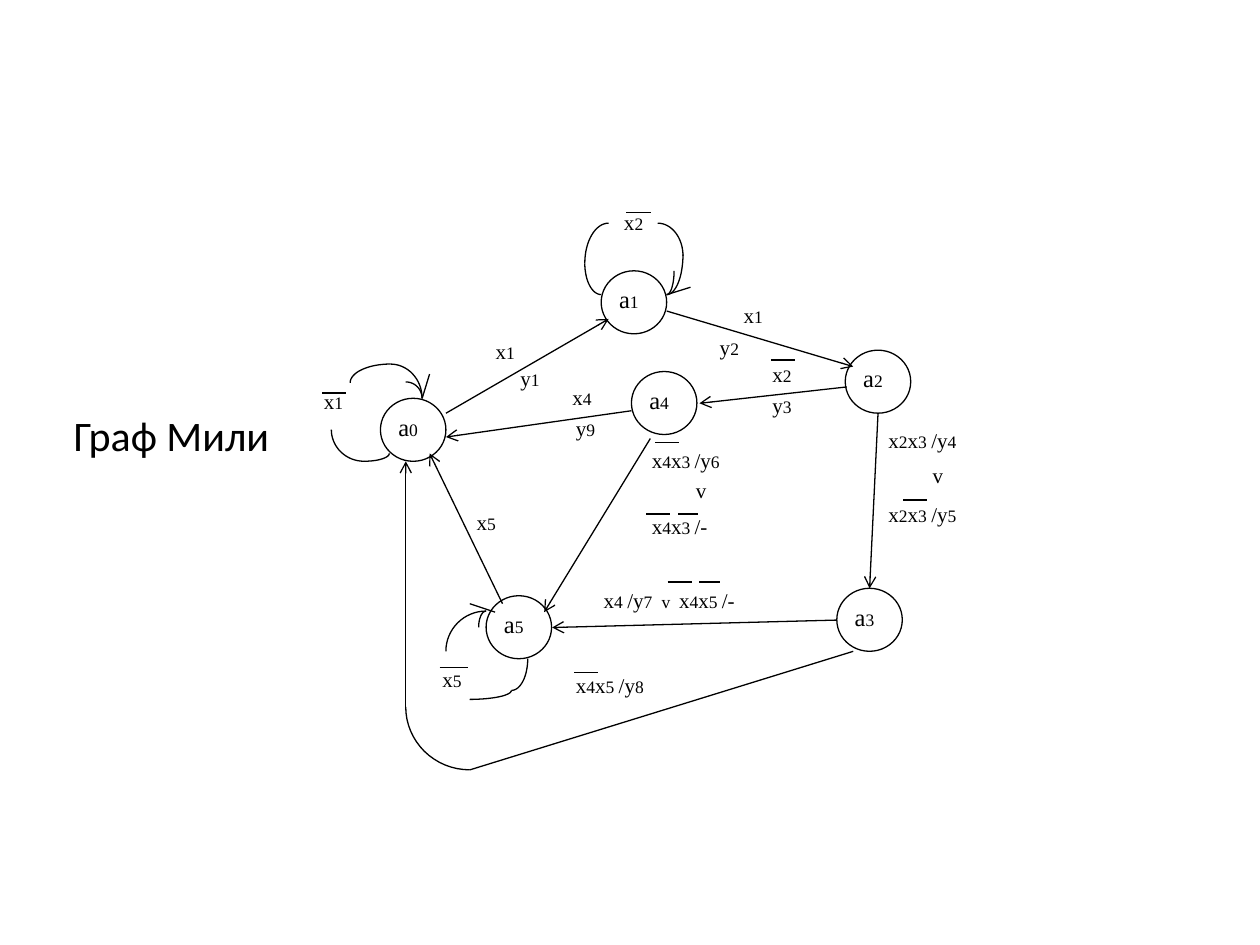
from dataclasses import dataclass
from itertools import groupby
from math import cos, pi, sin

from lxml.etree import SubElement
from pptx import Presentation
from pptx.dml.color import RGBColor
from pptx.enum.shapes import MSO_CONNECTOR, MSO_SHAPE
from pptx.enum.text import MSO_ANCHOR, PP_ALIGN
from pptx.oxml.ns import qn
from pptx.util import Cm, Pt


@dataclass(frozen=True)
class Theme:
    ink: RGBColor = RGBColor(0, 0, 0)
    title_font: str = "Calibri"
    label_font: str = "Times New Roman"
    title_size: Pt = Pt(24)
    state_size: Pt = Pt(14)
    label_size: Pt = Pt(12)
    index_size: Pt = Pt(10)
    line_width: Pt = Pt(0.75)


THEME = Theme()
STATE_WIDTH, STATE_HEIGHT = 1.32, 1.27
ARC_STEPS = 16

STATES = [
    ("a0", 7.67, 8.03),
    ("a1", 12.12, 5.46),
    ("a2", 17.04, 7.06),
    ("a3", 16.87, 11.86),
    ("a4", 12.73, 7.49),
    ("a5", 9.8, 12.01),
]

TRANSITIONS = [
    (12.73, 8.28, 8.99, 8.81),
    (17.07, 7.8, 14.1, 8.13),
    (17.7, 8.33, 17.53, 11.86),
    (8.18, 14.25, 8.18, 9.3),
    (13.11, 8.84, 10.97, 12.34),
    (16.87, 12.5, 11.13, 12.65),
    (10.13, 12.17, 8.66, 9.14),
    (8.99, 8.33, 12.27, 6.43),
    (13.44, 6.27, 17.2, 7.39),
]

PLAIN_LINES = [
    (17.2, 13.13, 9.47, 15.52),
    (13.44, 5.94, 13.92, 5.79),
    (9.98, 12.34, 9.47, 12.17),
    (8.51, 8.03, 8.66, 7.54),
]

QUARTER_ARCS = [
    (9.47, 15.52, 8.18, 14.25),
    (13.44, 5.94, 13.77, 5.13),
    (12.12, 5.94, 11.79, 5.31),
    (13.26, 4.5, 13.77, 5.16),
    (12.27, 4.5, 11.79, 5.31),
    (7.34, 9.3, 6.68, 8.66),
    (7.34, 9.3, 7.85, 9.14),
    (7.87, 7.34, 8.51, 8.03),
    (7.87, 7.34, 7.06, 7.72),
    (10.31, 13.92, 10.64, 13.28),
    (9.47, 14.1, 10.31, 13.92),
    (9.8, 12.32, 8.99, 13.13),
    (13.44, 5.94, 13.59, 5.46),
    (9.8, 12.32, 9.65, 12.65),
    (8.18, 7.7, 8.51, 8.03),
]

LABELS = [
    ("x1", 6.5, 7.72, 1.22, 0.86),
    ("x2", 12.55, 4.11, 1.14, 0.86),
    ("x5", 8.89, 13.34, 1.04, 1.17),
    ("x1", 9.96, 6.71, 1.14, 0.79),
    ("y1", 10.46, 7.26, 1.04, 1.02),
    ("x1", 14.96, 5.99, 1.3, 0.71),
    ("y2", 14.48, 6.63, 1.14, 0.94),
    ("x2", 15.54, 7.19, 0.89, 0.71),
    ("y3", 15.54, 7.8, 1.22, 1.02),
    ("x5", 9.58, 10.16, 1.14, 0.79),
    ("x4", 11.51, 7.65, 1.3, 0.79),
    ("y9", 11.58, 8.28, 1.3, 0.86),
    ("x2x3 /y4", 17.88, 8.51, 2.41, 0.79),
    ("v", 18.77, 9.22, 1.22, 0.86),
    ("x2x3 /y5", 17.88, 10.01, 2.26, 0.86),
    ("x4x5 /y8", 11.58, 13.46, 2.82, 0.94),
    ("x4x3 /y6", 13.11, 8.92, 2.74, 1.02),
    ("v", 14, 9.53, 1.37, 0.94),
    ("x4x3 /-", 13.11, 10.24, 3, 0.94),
]

OVERLINES = [
    (6.5, 7.92, 0.48),
    (12.62, 4.28, 0.5),
    (8.86, 13.46, 0.58),
    (15.54, 7.26, 0.48),
    (13.21, 8.92, 0.48),
    (13.03, 10.36, 0.48),
    (13.67, 10.36, 0.41),
    (13.46, 11.73, 0.48),
    (14.1, 11.73, 0.41),
    (11.58, 13.56, 0.48),
    (18.21, 10.08, 0.48),
]


def style_line(line):
    line.color.rgb = THEME.ink
    line.width = THEME.line_width


def add_title(slide, text):
    title = slide.shapes.title
    title.left, title.top, title.width, title.height = Cm(0), Cm(6.35), Cm(6.91), Cm(4.83)
    title.text_frame.text = text
    title.text_frame.vertical_anchor = MSO_ANCHOR.MIDDLE
    paragraph = title.text_frame.paragraphs[0]
    paragraph.alignment = PP_ALIGN.CENTER
    paragraph.font.name = THEME.title_font
    paragraph.font.size = THEME.title_size
    paragraph.font.color.rgb = THEME.ink


def add_line(slide, x1, y1, x2, y2, arrow=False):
    connector = slide.shapes.add_connector(
        MSO_CONNECTOR.STRAIGHT, Cm(x1), Cm(y1), Cm(x2), Cm(y2))
    style_line(connector.line)
    if arrow:
        SubElement(connector.line._get_or_add_ln(), qn("a:tailEnd"), type="arrow")
    SubElement(connector._element.spPr, qn("a:effectLst"))


def add_quarter_arc(slide, x1, y1, x2, y2):
    angles = [step * pi / 2 / ARC_STEPS for step in range(1, ARC_STEPS + 1)]
    points = [(Cm(x1 + (x2 - x1) * sin(angle)), Cm(y1 + (y2 - y1) * (1 - cos(angle))))
              for angle in angles]
    builder = slide.shapes.build_freeform(Cm(x1), Cm(y1))
    builder.add_line_segments(points, close=False)
    shape = builder.convert_to_shape()
    shape.shadow.inherit = False
    shape.fill.background()
    style_line(shape.line)


def add_label(slide, text, left, top, width, height, letter_size=THEME.label_size, tabs=()):
    box = slide.shapes.add_textbox(Cm(left), Cm(top), Cm(width), Cm(height))
    frame = box.text_frame
    frame.word_wrap = True
    frame.margin_left = frame.margin_right = frame.margin_top = frame.margin_bottom = Cm(0.03)
    paragraph = frame.paragraphs[0]
    if tabs:
        tab_list = SubElement(paragraph._p.get_or_add_pPr(), qn("a:tabLst"))
        for position in tabs:
            SubElement(tab_list, qn("a:tab"), pos=str(Cm(position)), algn="l")
    paragraph.line_spacing = 1.15
    paragraph.font.name = THEME.label_font
    paragraph.font.color.rgb = THEME.ink
    index_characters = "0123456789 \t" + ("v" if len(text) > 1 else "")
    for is_index, characters in groupby(text, lambda character: character in index_characters):
        run = paragraph.add_run()
        run.text = "".join(characters)
        run.font.size = THEME.index_size if is_index else letter_size


def add_state(slide, name, left, top):
    shape = slide.shapes.add_shape(
        MSO_SHAPE.OVAL, Cm(left), Cm(top), Cm(STATE_WIDTH), Cm(STATE_HEIGHT))
    shape.shadow.inherit = False
    shape.fill.background()
    style_line(shape.line)
    add_label(slide, name, left + 0.33, top + 0.15, 0.89, 0.94, THEME.state_size)


def main():
    presentation = Presentation()
    presentation.slide_width, presentation.slide_height = Cm(25.4), Cm(19.05)
    slide = presentation.slides.add_slide(presentation.slide_layouts[5])
    add_title(slide, "Граф Мили")
    for state in STATES:
        add_state(slide, *state)
    for transition in TRANSITIONS:
        add_line(slide, *transition, arrow=True)
    for line in PLAIN_LINES:
        add_line(slide, *line)
    for arc in QUARTER_ARCS:
        add_quarter_arc(slide, *arc)
    for label in LABELS:
        add_label(slide, *label)
    add_label(slide, "x4 /y7\tv\tx4x5 /-", 12.14, 11.73, 5.16, 0.94, tabs=(1.17, 1.52))
    for left, top, length in OVERLINES:
        add_line(slide, left, top, left + length, top)
    presentation.save("out.pptx")


if __name__ == "__main__":
    main()
